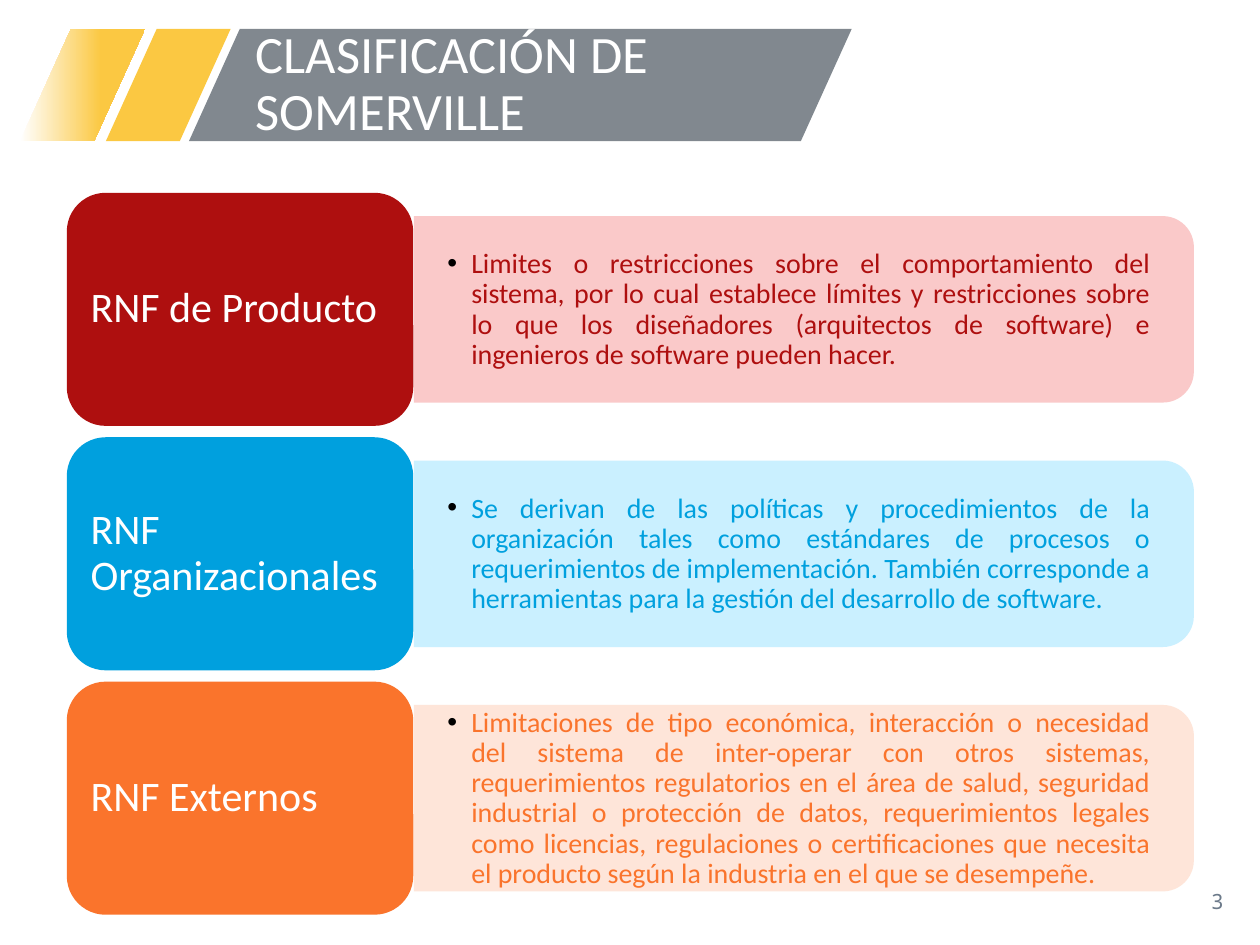
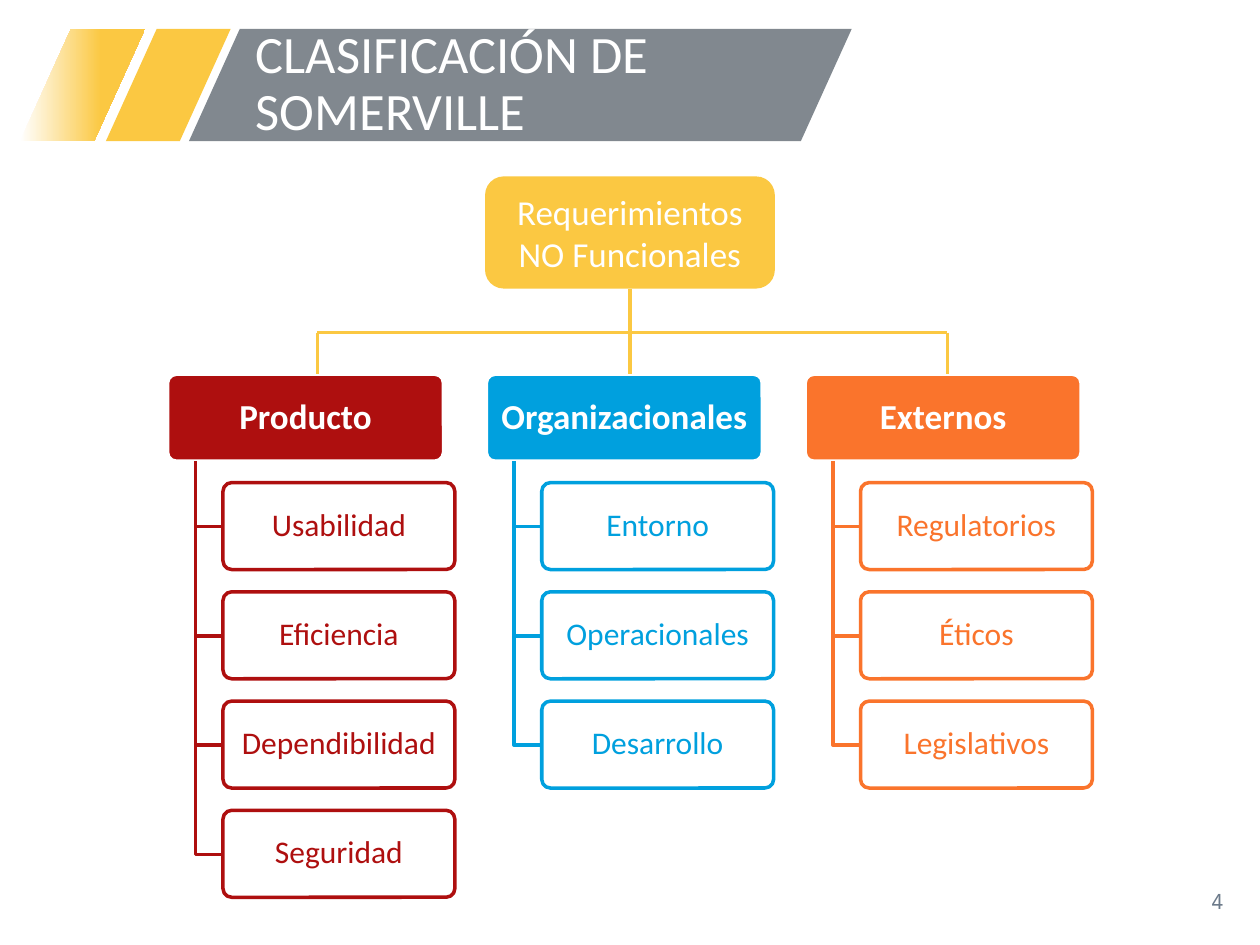
"""Build two slides on Sommerville's classes of non-functional requirements."""
from lxml.etree import SubElement
from pptx import Presentation
from pptx.dml.color import RGBColor
from pptx.enum.shapes import MSO_CONNECTOR, MSO_SHAPE
from pptx.enum.text import MSO_ANCHOR, MSO_AUTO_SIZE, PP_ALIGN
from pptx.oxml.ns import qn
from pptx.util import Inches, Pt

WHITE = RGBColor(0xFF, 0xFF, 0xFF)
YELLOW = RGBColor(0xFB, 0xC8, 0x42)
GRAY = RGBColor(0x81, 0x88, 0x8F)
NUMBER_GRAY = RGBColor(0x6C, 0x7A, 0x8A)
RED = RGBColor(0xAE, 0x0F, 0x0F)
BLUE = RGBColor(0x00, 0xA0, 0xDE)
ORANGE = RGBColor(0xFA, 0x74, 0x2C)
PALE_RED = RGBColor(0xFA, 0xC4, 0xC4)
PALE_BLUE = RGBColor(0xC5, 0xEF, 0xFF)
PALE_ORANGE = RGBColor(0xFE, 0xE3, 0xD5)

TITLE = "CLASIFICACIÓN DE SOMERVILLE"
DEFINITIONS = [
    ("RNF de Producto", RED, PALE_RED,
     "Limites o restricciones sobre el comportamiento del sistema, por lo cual "
     "establece límites y restricciones sobre lo que los diseñadores (arquitectos "
     "de software) e ingenieros de software pueden hacer."),
    ("RNF Organizacionales", BLUE, PALE_BLUE,
     "Se derivan de las políticas y procedimientos de la organización tales como "
     "estándares de procesos o requerimientos de implementación. También "
     "corresponde a herramientas para la gestión del desarrollo de software."),
    ("RNF Externos", ORANGE, PALE_ORANGE,
     "Limitaciones de tipo económica, interacción o necesidad del sistema de "
     "inter-operar con otros sistemas, requerimientos regulatorios en el área de "
     "salud, seguridad industrial o protección de datos, requerimientos legales "
     "como licencias, regulaciones o certificaciones que necesita el producto "
     "según la industria en el que se desempeñe."),
]
BRANCHES = [
    ("Producto", RED, 2.52, ["Usabilidad", "Eficiencia", "Dependibilidad", "Seguridad"]),
    ("Organizacionales", BLUE, 5, ["Entorno", "Operacionales", "Desarrollo"]),
    ("Externos", ORANGE, 7.52, ["Regulatorios", "Éticos", "Legislativos"]),
]


def box(*lengths):
    """Convert lengths in inches to a list of Inches."""
    return [Inches(length) for length in lengths]


def add_bullet(paragraph):
    """Give the paragraph a black bullet with a hanging indent."""
    properties = paragraph._p.get_or_add_pPr()
    properties.set("marL", str(Inches(0.19)))
    properties.set("indent", str(-Inches(0.19)))
    bullet_color = SubElement(properties, qn("a:buClr"))
    SubElement(bullet_color, qn("a:srgbClr"), val="000000")
    SubElement(properties, qn("a:buFont"), typeface="Arial")
    SubElement(properties, qn("a:buChar"), char="•")


def write(frame, text, *, size, color=WHITE, font="Calibri", bold=False,
          align=PP_ALIGN.LEFT, spacing=0.9, insets=(0.1, 0.05), bullet=False):
    """Write one formatted paragraph, centred vertically in its frame."""
    frame.word_wrap = True
    frame.auto_size = MSO_AUTO_SIZE.NONE
    frame.vertical_anchor = MSO_ANCHOR.MIDDLE
    frame.margin_left = frame.margin_right = Inches(insets[0])
    frame.margin_top = frame.margin_bottom = Inches(insets[1])
    paragraph = frame.paragraphs[0]
    if bullet:
        add_bullet(paragraph)
    paragraph.text = text
    paragraph.alignment = align
    paragraph.line_spacing = spacing
    for run in paragraph.runs:
        run.font.size = Pt(size)
        run.font.name = font
        run.font.bold = bold
        run.font.color.rgb = color


def add_block(slide, preset, place, fill, *, line=None, adjust=None, opacity=None):
    """Add a flat preset shape and return it."""
    block = slide.shapes.add_shape(preset, *box(*place))
    block.shadow.inherit = False
    block.fill.solid()
    block.fill.fore_color.rgb = fill
    if opacity is not None:
        fill_color = block.fill._xPr.find(f".//{qn('a:srgbClr')}")
        SubElement(fill_color, qn("a:alpha"), val=str(opacity * 1000))
    if line is None:
        block.line.fill.background()
    else:
        block.line.color.rgb = line
        block.line.width = Pt(2)
    if adjust is not None:
        block.adjustments[0] = adjust
    return block


def add_line(slide, *ends):
    """Add a straight yellow line of the tree."""
    link = slide.shapes.add_connector(MSO_CONNECTOR.STRAIGHT, *box(*ends))
    link.line.color.rgb = YELLOW
    link.line.width = Pt(2)
    SubElement(link._element.spPr, qn("a:effectLst"))


def add_elbow(slide, left, top, right, bottom, color):
    """Add an open line going down and then right."""
    builder = slide.shapes.build_freeform(*box(left, top))
    builder.add_line_segments([box(left, bottom), box(right, bottom)], close=False)
    elbow = builder.convert_to_shape()
    elbow.shadow.inherit = False
    elbow.fill.background()
    elbow.line.color.rgb = color
    elbow.line.width = Pt(2)


def add_titled_slide(deck, number):
    """Add a slide with the title band and its number."""
    slide = deck.slides.add_slide(deck.slide_layouts[5])
    for left, width, color in ((0.84, 0.99, YELLOW), (0.16, 0.99, YELLOW), (1.5, 5.26, GRAY)):
        band = add_block(slide, MSO_SHAPE.PARALLELOGRAM, (left, 0.23, width, 0.89),
                         color, adjust=0.453)
        if left == 0.16:
            band.fill.gradient()
            band.fill.gradient_angle = 0
            for stop, position, shade in zip(band.fill.gradient_stops, (0, 0.65), (WHITE, YELLOW)):
                stop.position = position
                stop.color.rgb = shade
    page = slide.shapes.add_textbox(*box(7.56, 6.95, 2.25, 0.4))
    write(page.text_frame, str(number), size=12, color=NUMBER_GRAY,
          font="Noto Sans Mono", align=PP_ALIGN.RIGHT, spacing=1)
    title = slide.shapes.title
    title.left, title.top, title.width, title.height = box(1.93, 0.23, 4.69, 0.89)
    write(title.text_frame, TITLE, size=30)
    slide.shapes._spTree.append(title._element)
    return slide


def add_definition(slide, top, name, color, pale, meaning):
    """Add one class of requirement with its definition."""
    panel = add_block(slide, MSO_SHAPE.ROUND_2_SAME_RECTANGLE,
                      (5.64, top - 2.17, 1.48, 6.19), pale, opacity=90)
    panel.rotation = 90
    definition = slide.shapes.add_textbox(*box(3.28, top + 0.26, 6.12, 1.34))
    write(definition.text_frame, meaning, size=16, color=color, align=PP_ALIGN.JUSTIFY,
          insets=(0.27, 0.14), bullet=True)
    label = add_block(slide, MSO_SHAPE.ROUNDED_RECTANGLE, (0.53, top, 2.75, 1.85), color)
    write(label.text_frame, name, size=24, align=PP_ALIGN.JUSTIFY)


def add_branch(slide, left, name, color, kinds):
    """Add a class header with its kinds hanging below."""
    header = add_block(slide, MSO_SHAPE.ROUNDED_RECTANGLE, (left, 2.97, 2.19, 0.69),
                       color, line=WHITE, adjust=0.1)
    write(header.text_frame, name, size=20, bold=True, align=PP_ALIGN.CENTER,
          insets=(0.04, 0.03))
    for row, kind in enumerate(kinds):
        top = 3.83 + row * 0.867
        add_elbow(slide, left + 0.22, 3.66, left + 0.44, top + 0.35, color)
        leaf = add_block(slide, MSO_SHAPE.ROUNDED_RECTANGLE, (left + 0.44, top, 1.84, 0.69),
                         WHITE, line=color, adjust=0.1, opacity=90)
        write(leaf.text_frame, kind, size=18, color=color, align=PP_ALIGN.CENTER,
              insets=(0.04, 0.03))


def add_root(slide):
    """Add the root of the tree and the lines to its branches."""
    root = add_block(slide, MSO_SHAPE.ROUNDED_RECTANGLE, (3.85, 1.4, 2.3, 0.89), YELLOW)
    write(root.text_frame, "Requerimientos\nNO Funcionales", size=20,
          align=PP_ALIGN.CENTER, spacing=1)
    add_line(slide, 5, 2.29, 5, 2.64)
    add_line(slide, BRANCHES[0][2], 2.64, BRANCHES[-1][2], 2.64)
    for _, _, center, _ in BRANCHES:
        add_line(slide, center, 2.64, center, 2.97)


def main():
    """Build and save the deck."""
    deck = Presentation()
    deck.slide_width, deck.slide_height = box(10, 7.5)

    definitions = add_titled_slide(deck, 3)
    for row, (name, color, pale, meaning) in enumerate(DEFINITIONS):
        add_definition(definitions, 1.53 + row * 1.94, name, color, pale, meaning)

    tree = add_titled_slide(deck, 4)
    for column, (name, color, _, kinds) in enumerate(BRANCHES):
        add_branch(tree, 1.33 + column * 2.53, name, color, kinds)
    add_root(tree)

    deck.save("out.pptx")


if __name__ == "__main__":
    main()
